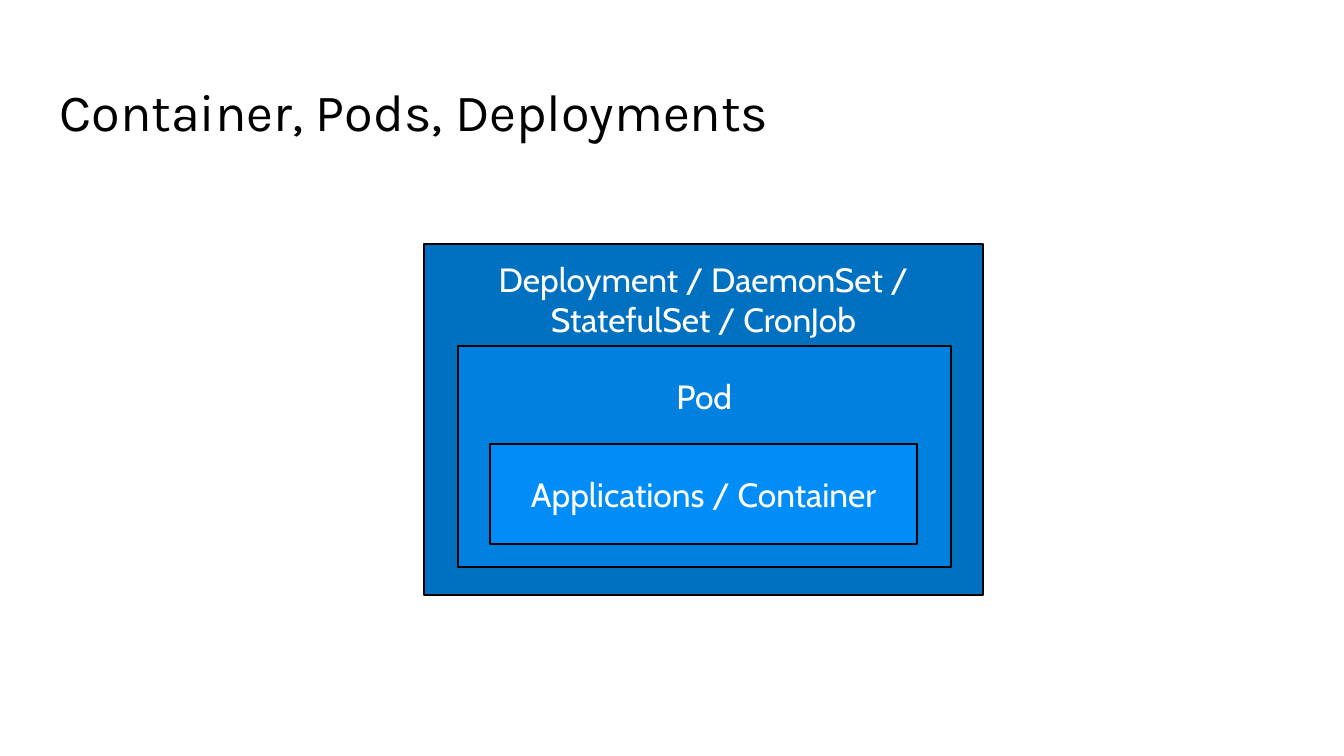
from dataclasses import dataclass

from pptx import Presentation
from pptx.dml.color import RGBColor
from pptx.enum.shapes import MSO_SHAPE
from pptx.enum.text import MSO_ANCHOR, PP_ALIGN
from pptx.shapes.autoshape import Shape
from pptx.slide import Slide
from pptx.util import Emu, Pt

EMU_PER_PX = 4572
INSET = 20
COLORS = {
    "ink": "000000",
    "label": "FFFFFF",
    "deployment": "0070C0",
    "pod": "0080DF",
    "container": "008DF8",
}


@dataclass(frozen=True)
class Layer:
    text: str
    color: str
    left: int
    top: int
    width: int
    height: int
    text_top: int = INSET
    anchor: MSO_ANCHOR = MSO_ANCHOR.TOP


LAYERS = [
    Layer("Deployment / DaemonSet / StatefulSet / CronJob", "deployment",
          631, 363, 832, 522, text_top=22),
    Layer("Pod", "pod", 681, 515, 734, 329, text_top=44),
    Layer("Applications / Container", "container",
          729, 661, 636, 149, anchor=MSO_ANCHOR.MIDDLE),
]


def px(length: int) -> Emu:
    return Emu(length * EMU_PER_PX)


def color(name: str) -> RGBColor:
    return RGBColor.from_string(COLORS[name])


def write_text(shape: Shape, text: str, *, font: str, size: int, ink: str,
               alignment: PP_ALIGN = PP_ALIGN.LEFT,
               anchor: MSO_ANCHOR = MSO_ANCHOR.TOP,
               text_top: int = INSET) -> None:
    frame = shape.text_frame
    frame.word_wrap = True
    frame.vertical_anchor = anchor
    frame.margin_left = frame.margin_right = frame.margin_bottom = px(INSET)
    frame.margin_top = px(text_top)
    paragraph = frame.paragraphs[0]
    paragraph.alignment = alignment
    run = paragraph.add_run()
    run.text = text
    run.font.name = font
    run.font.size = Pt(size)
    run.font.color.rgb = color(ink)


def draw_layer(slide: Slide, layer: Layer) -> None:
    shape = slide.shapes.add_shape(
        MSO_SHAPE.RECTANGLE, px(layer.left), px(layer.top),
        px(layer.width), px(layer.height))
    shape.shadow.inherit = False
    shape.fill.solid()
    shape.fill.fore_color.rgb = color(layer.color)
    shape.line.color.rgb = color("ink")
    shape.line.width = Pt(1)
    write_text(shape, layer.text, font="Cabin", size=18, ink="label",
               alignment=PP_ALIGN.CENTER, anchor=layer.anchor,
               text_top=layer.text_top)


def main() -> None:
    presentation = Presentation()
    presentation.slide_width = px(2000)
    presentation.slide_height = px(1125)
    slide = presentation.slides.add_slide(presentation.slide_layouts[6])
    title = slide.shapes.add_textbox(px(69), px(98), px(1680), px(134))
    write_text(title, "Container, Pods, Deployments",
               font="Karla", size=28, ink="ink")
    for layer in LAYERS:
        draw_layer(slide, layer)
    presentation.save("out.pptx")


if __name__ == "__main__":
    main()
